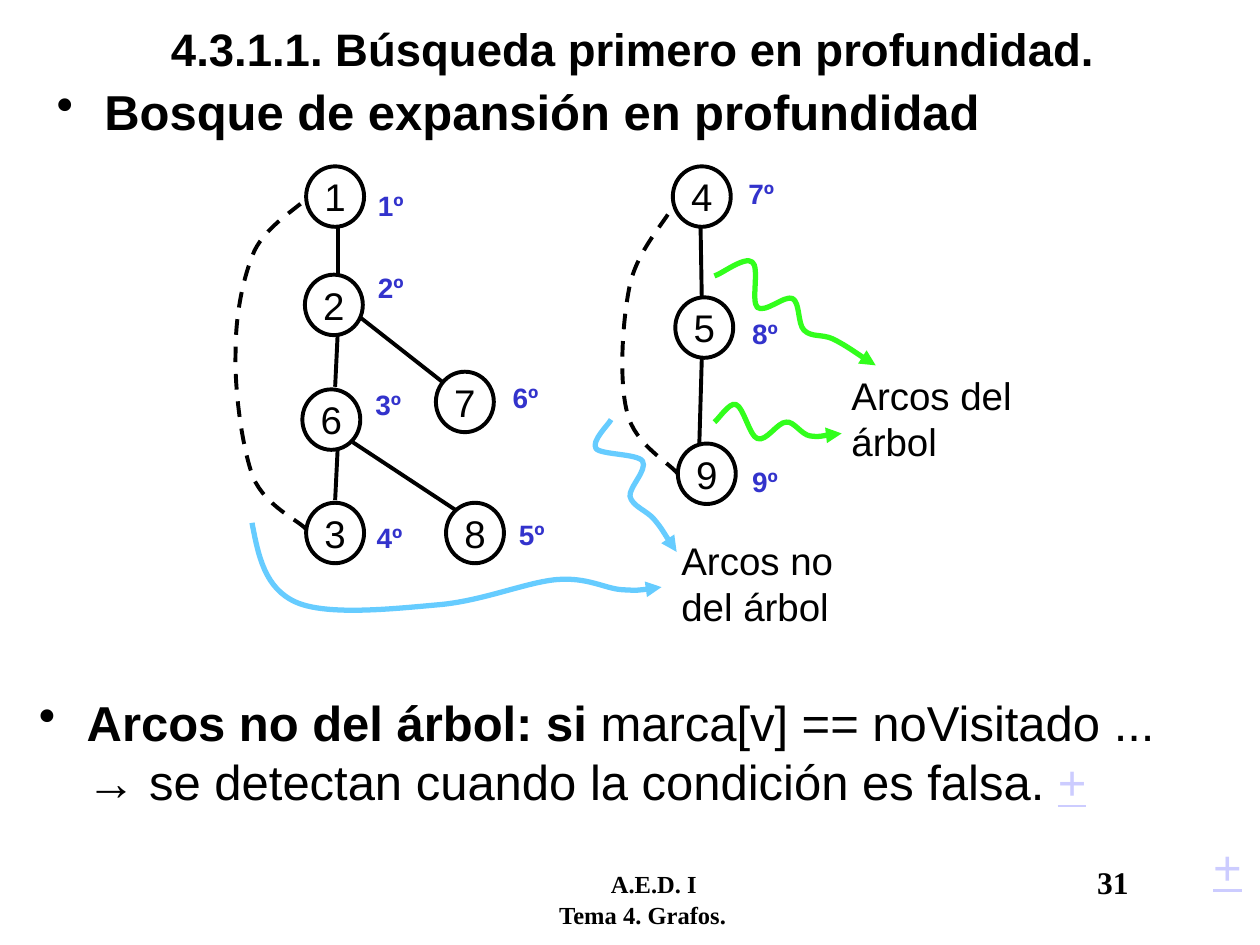
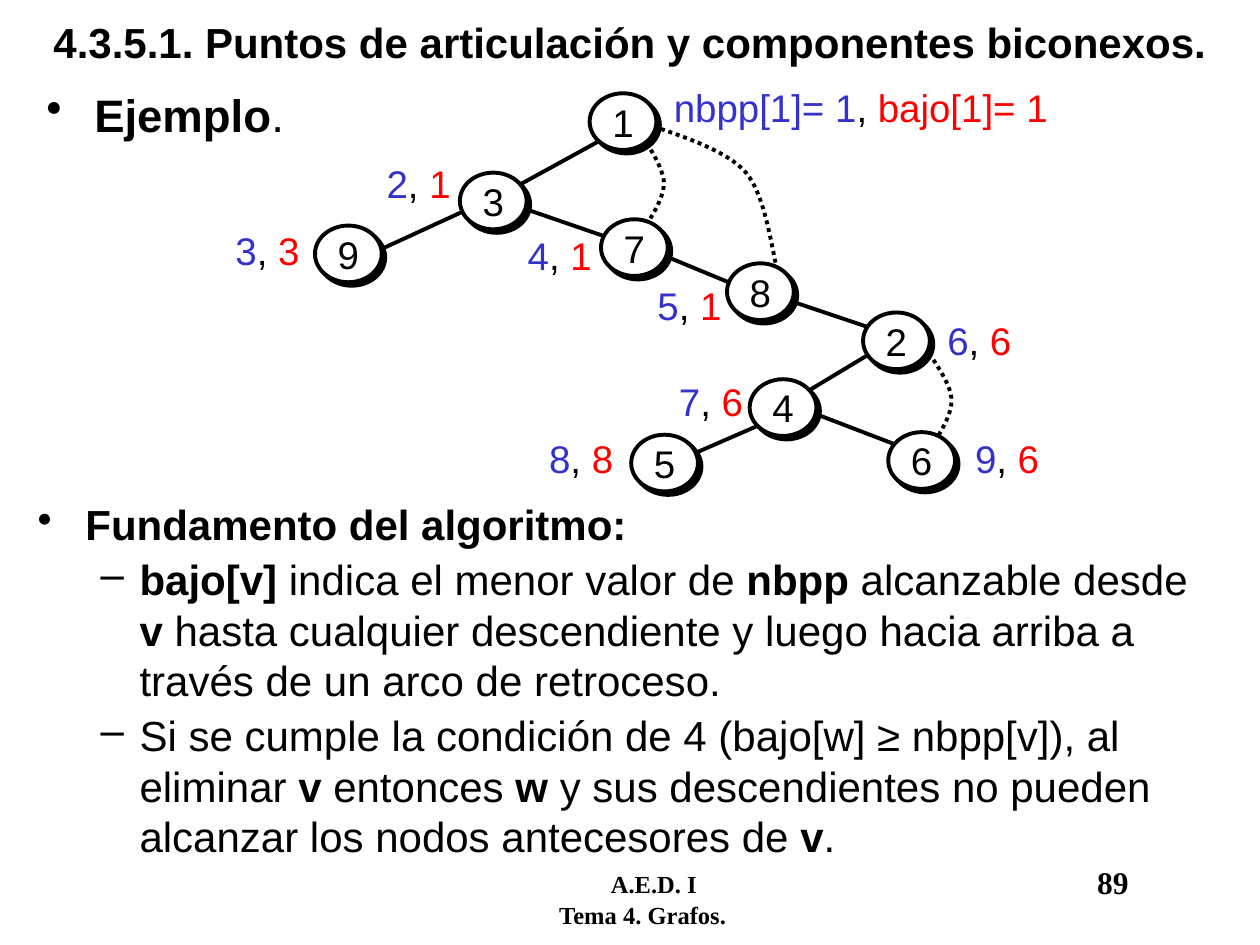
from lxml import etree
from pptx import Presentation
from pptx import util as u
from pptx.dml.color import RGBColor
from pptx.enum import dml, shapes, text
from pptx.oxml.ns import qn

PX = 9144  # EMU in one px, 100 px to the inch
BLACK = RGBColor(0, 0, 0)
WHITE = RGBColor(255, 255, 255)
BLUE = RGBColor(0x33, 0x33, 0xCC)
RED = RGBColor(255, 0, 0)
GREEN = RGBColor(0x32, 0xFE, 0x1C)
SKY = RGBColor(0x66, 0xCC, 0xFF)
LILAC = RGBColor(0xCC, 0xCC, 0xFF)
SANS, SERIF = "Arial", "Times New Roman"
DASH, DOT = dml.MSO_LINE.DASH, dml.MSO_LINE.ROUND_DOT
BOLD = {"bold": True}
LINK = {"color": LILAC, "underline": True}


class Deck:
    """Holds the shared style and the slide being filled."""

    def __init__(self):
        self.prs = Presentation()
        self.prs.slide_width, self.prs.slide_height = 1000 * PX, 750 * PX
        self.slide = None

    def new_slide(self, number):
        self.slide = self.prs.slides.add_slide(self.prs.slide_layouts[6])
        footer = self.text((362, 685, 400, 50), 14, [("A.E.D. I", BOLD)], font=SERIF)
        self.indent(footer.paragraphs[0], 113)
        theme = footer.add_paragraph()
        self.indent(theme, 72)
        theme.space_before = u.Pt(1)
        self.runs(theme, 14, [("Tema 4. Grafos.", BOLD)], SERIF)
        self.text((861, 680, 60, 40), 18, [(str(number), BOLD)], font=SERIF)

    def title(self, box, size, words):
        frame = self.text(box, size, [(words, BOLD)])
        frame.vertical_anchor = text.MSO_ANCHOR.MIDDLE
        frame.paragraphs[0].alignment = text.PP_ALIGN.CENTER
        return frame

    def text(self, box, size, parts, bullet=None, font=SANS):
        frame = self.slide.shapes.add_textbox(*(v * PX for v in box)).text_frame
        frame.word_wrap = True
        paragraph = frame.paragraphs[0]
        if bullet:
            self.bullet(paragraph, bullet, 38, 38)
        self.runs(paragraph, size, parts, font)
        return frame

    def runs(self, paragraph, size, parts, font=SANS):
        """Add (words, style) parts, each as one run."""
        for words, style in parts:
            run = paragraph.add_run()
            run.text = words
            run.font.name, run.font.size = font, u.Pt(size)
            run.font.bold = style.get("bold", False)
            run.font.underline = style.get("underline", False)
            run.font.color.rgb = style.get("color", BLACK)

    def indent(self, paragraph, left, hang=0):
        props = paragraph._p.get_or_add_pPr()
        props.set("marL", str(left * PX))
        props.set("indent", str(-hang * PX))
        return props

    def bullet(self, paragraph, sign, left, hang):
        props = self.indent(paragraph, left, hang)
        etree.SubElement(props, qn("a:buChar")).set("char", sign)

    def sub_point(self, frame, size, parts):
        point = frame.add_paragraph()
        self.bullet(point, "–", 81, 31)
        point.space_before = u.Pt(2.7)
        self.runs(point, size, parts)

    def node(self, label, box, shadow=False):
        circle = self.slide.shapes.add_shape(
            shapes.MSO_SHAPE.OVAL, *(v * PX for v in box))
        circle.shadow.inherit = False
        circle.fill.solid()
        circle.fill.fore_color.rgb = WHITE
        self.stroke(circle, BLACK, 2.25)
        if shadow:
            effects = circle._element.spPr.find(qn("a:effectLst"))
            cast = etree.SubElement(effects, qn("a:outerShdw"), blurRad="0",
                                    dist=str(u.Pt(2.8)), dir="2700000",
                                    algn="ctr", rotWithShape="0")
            etree.SubElement(cast, qn("a:srgbClr"), val=str(BLACK))
        frame = circle.text_frame
        frame.word_wrap = False
        frame.vertical_anchor = text.MSO_ANCHOR.MIDDLE
        frame.paragraphs[0].alignment = text.PP_ALIGN.CENTER
        self.runs(frame.paragraphs[0], 22, [(label, {})])

    def stroke(self, shape, color, width):
        shape.line.color.rgb = color
        shape.line.width = u.Pt(width)

    def edge(self, *ends):
        line = self.slide.shapes.add_connector(
            shapes.MSO_CONNECTOR.STRAIGHT, *(v * PX for v in ends))
        self.stroke(line, BLACK, 2.25)
        etree.SubElement(line._element.spPr, qn("a:effectLst"))

    def curve(self, points, color=BLACK, width=2.25, dash=None, arrow=False):
        """Draw a Bézier chain: a start, then two controls and an end per piece."""
        builder = self.slide.shapes.build_freeform(*points[0], scale=PX)
        builder.add_line_segments(points[1:], close=False)
        shape = builder.convert_to_shape()
        shape.shadow.inherit = False
        shape.fill.background()
        self.stroke(shape, color, width)
        if dash:
            shape.line.dash_style = dash
        props = shape._element.spPr
        if arrow:
            etree.SubElement(props.find(qn("a:ln")), qn("a:tailEnd"), type="triangle")
        outline = props.find(".//" + qn("a:path"))
        legs = outline.findall(qn("a:lnTo"))
        for first in range(0, len(legs), 3):
            piece = etree.SubElement(outline, qn("a:cubicBezTo"))
            for leg in legs[first:first + 3]:
                piece.append(leg[0])
                outline.remove(leg)


def depth_first_forest(deck):
    deck.new_slide(31)
    deck.title((36, 0, 933, 76), 26, "4.3.1.1. Búsqueda primero en profundidad.")
    deck.text((21, 545, 952, 123), 28, [
        ("Arcos no del árbol: si", BOLD),
        (" marca[v] == noVisitado ... → se detectan cuando la condición es falsa. ", {}),
        ("+", LINK)], "•")
    deck.text((35, 60, 932, 56), 28, [("Bosque de expansión en profundidad", BOLD)], "•")

    # label, node corner, visiting order, order corner
    nodes = [("1", 243, 132, "1º", 290, 145), ("2", 242, 218, "2º", 290, 210),
             ("3", 243, 399, "4º", 289, 408), ("6", 240, 309, "3º", 288, 303),
             ("8", 354, 399, "5º", 402, 406), ("7", 346, 295, "6º", 397, 297),
             ("4", 534, 132, "7º", 584, 135), ("9", 538, 352, "9º", 587, 364),
             ("5", 536, 236, "8º", 587, 246)]
    for label, x, y, order, order_x, order_y in nodes:
        deck.node(label, (x, y, 46, 48))
        deck.text((order_x, order_y, 81, 37), 16, [(order, {"bold": True, "color": BLUE})])

    for ends in [(268, 181, 268, 219), (286, 252, 351, 303), (268, 265, 266, 307),
                 (268, 356, 266, 397), (280, 351, 362, 405), (556, 179, 557, 237),
                 (557, 285, 555, 353)]:
        deck.edge(*ends)

    back_arcs = [
        [(243, 420), (237, 413), (211, 402), (201, 379), (192, 355), (186, 309),
         (187, 279), (187, 249), (193, 220), (202, 199), (212, 179), (235, 166),
         (244, 157)],
        [(538, 376), (531, 367), (504, 353), (498, 328), (491, 303), (494, 254),
         (500, 226), (506, 199), (527, 177), (534, 164)]]
    for arc in back_arcs:
        deck.curve(arc, dash=DASH)

    tree_pointers = [
        [(567, 219), (572, 218), (591, 203), (597, 208), (603, 212), (596, 239),
         (601, 244), (607, 249), (623, 234), (629, 237), (635, 240), (633, 257),
         (638, 262), (644, 268), (652, 265), (661, 269), (671, 274), (688, 286),
         (695, 290)],
        [(567, 335), (570, 333), (579, 319), (584, 321), (590, 323), (595, 346),
         (601, 348), (608, 351), (617, 335), (624, 335), (630, 334), (636, 345),
         (643, 346), (651, 347), (662, 344), (668, 344)]]
    other_pointers = [
        [(485, 333), (483, 337), (469, 350), (473, 356), (477, 361), (506, 360),
         (510, 366), (514, 373), (499, 387), (500, 394), (502, 402), (513, 405),
         (519, 412), (525, 419), (533, 433), (537, 438)],
        [(200, 415), (205, 441), (210, 467), (235, 478), (260, 489), (314, 483),
         (348, 480), (383, 477), (418, 462), (442, 460), (466, 458), (480, 467),
         (493, 468), (507, 469), (520, 467), (525, 466)]]
    for caption, x, y, pointers, color in [
            ("Arcos del árbol", 666, 290, tree_pointers, GREEN),
            ("Arcos no del árbol", 531, 421, other_pointers, SKY)]:
        deck.text((x, y, 170, 83), 22, [(caption, {})])
        for pointer in pointers:
            deck.curve(pointer, color, 3, arrow=True)
    deck.text((953, 659, 47, 57), 28, [("+", LINK)])


def articulation_points(deck):
    deck.new_slide(89)
    heading = deck.title((0, 0, 1000, 71), 24,
                         "4.3.5.1. Puntos de articulación y componentes biconexos.")
    heading.paragraphs[0].line_spacing = 0.9
    deck.text((27, 64, 400, 60), 26, [("Ejemplo", BOLD), (".", {})], "•")
    basis = deck.text((20, 391, 950, 302), 24, [("Fundamento del algoritmo:", BOLD)], "•")
    deck.sub_point(basis, 24, [
        ("bajo[v]", BOLD), (" indica el menor valor de ", {}), ("nbpp", BOLD),
        (" alcanzable desde ", {}), ("v", BOLD),
        (" hasta cualquier descendiente y luego hacia arriba a través de un arco "
         "de retroceso.", {})])
    deck.sub_point(basis, 24, [
        ("Si se cumple la condición de 4 (bajo[w] ≥ nbpp[v]), al eliminar ", {}),
        ("v", BOLD), (" entonces ", {}), ("w", BOLD),
        (" y sus descendientes no pueden alcanzar los nodos antecesores de ", {}),
        ("v", BOLD), (".", {})])

    for arc in [
            [(513, 98), (526, 104), (574, 116), (592, 137), (609, 157), (613, 204), (619, 222)],
            [(727, 265), (731, 273), (753, 299), (755, 315), (757, 331), (741, 350), (737, 359)],
            [(503, 98), (507, 105), (526, 129), (527, 145), (527, 161), (510, 182), (505, 191)]]:
        deck.curve(arc, dash=DOT)
    for ends in [(719, 356, 625, 320), (699, 263, 607, 232), (501, 98, 399, 154),
                 (508, 195, 617, 240), (389, 158, 302, 198), (537, 366, 622, 329),
                 (513, 199, 397, 159), (710, 269, 622, 322)]:
        deck.edge(*ends)

    # label, node corner, nbpp, bajo, values corner and width
    nodes = [("1", 468, 74, "nbpp[1]= 1", "bajo[1]= 1", 525, 62, 330),
             ("2", 685, 248, "6", "6", 742, 247, 77),
             ("3", 365, 137, "2", "1", 297, 122, 77),
             ("7", 477, 174, "4", "1", 409, 179, 77),
             ("8", 577, 209, "5", "1", 512, 219, 77),
             ("6", 705, 343, "9", "6", 764, 340, 77),
             ("4", 595, 301, "7", "6", 529, 295, 77),
             ("5", 501, 345, "8", "8", 426, 340, 77),
             ("9", 250, 179, "3", "3", 177, 175, 77)]
    for label, x, y, nbpp, low, values_x, values_y, width in nodes:
        deck.node(label, (x, y, 53, 45), shadow=True)
        deck.text((values_x, values_y, width, 47), 22,
                  [(nbpp, {"color": BLUE}), (", ", {}), (low, {"color": RED})])


def main():
    deck = Deck()
    depth_first_forest(deck)
    articulation_points(deck)
    deck.prs.save("out.pptx")


if __name__ == "__main__":
    main()
